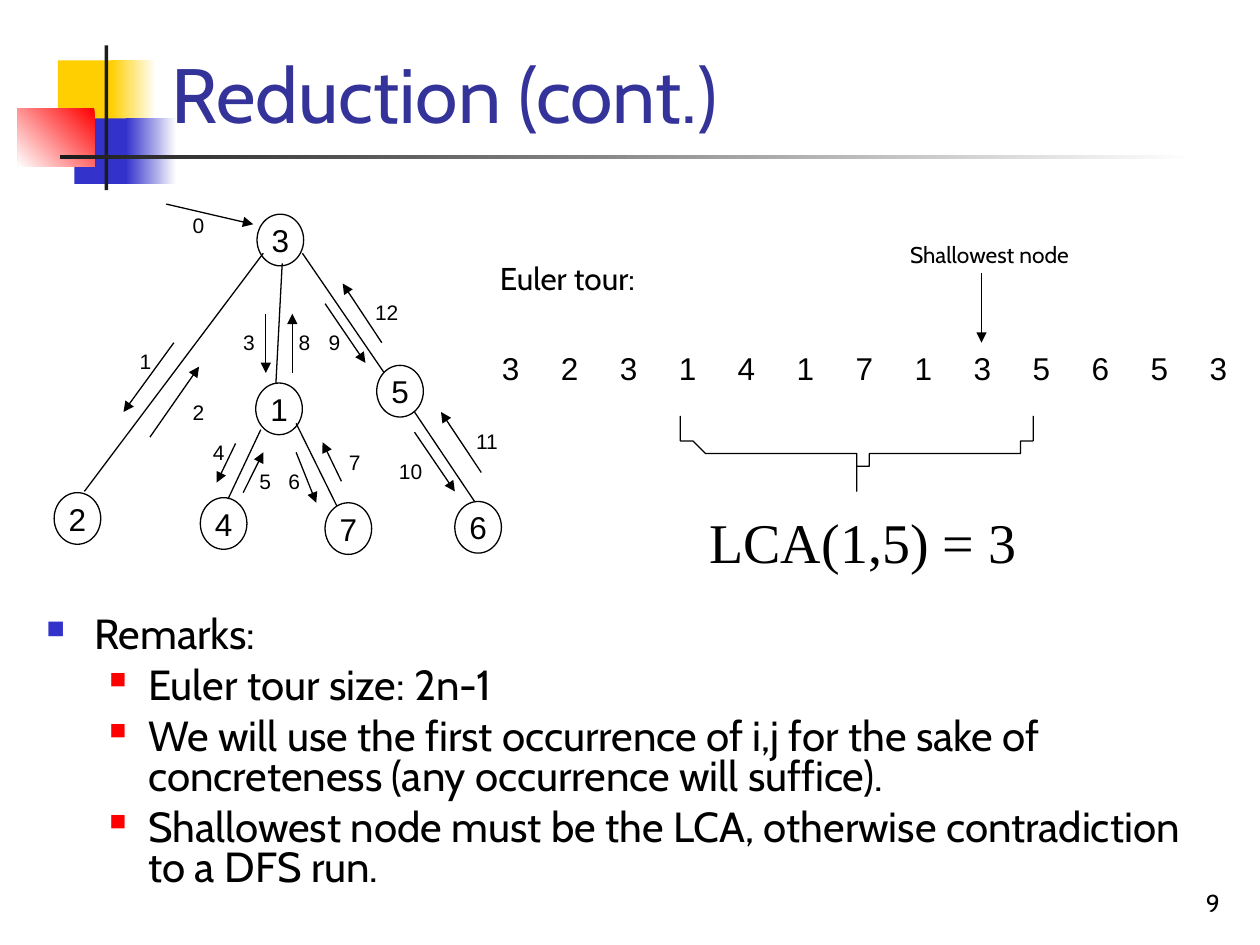
import dataclasses

import lxml.etree
import pptx
import pptx.dml.color
import pptx.enum.shapes
import pptx.enum.text
import pptx.oxml.ns
import pptx.util

BLACK = pptx.dml.color.RGBColor(0x00, 0x00, 0x00)
WHITE = pptx.dml.color.RGBColor(0xFF, 0xFF, 0xFF)
YELLOW = pptx.dml.color.RGBColor(0xFF, 0xCF, 0x01)
BLUE = pptx.dml.color.RGBColor(0x33, 0x33, 0xCC)
RED = pptx.dml.color.RGBColor(0xFF, 0x00, 0x00)
INK = pptx.dml.color.RGBColor(0x1C, 0x1C, 0x1C)
TITLE_BLUE = pptx.dml.color.RGBColor(0x33, 0x33, 0x99)
COLUMNS, ROWS = 100, 75
CELL = pptx.util.Inches(0.1)
SHAPES = pptx.enum.shapes.MSO_SHAPE
ALIGN = pptx.enum.text.PP_ALIGN
ANCHOR = pptx.enum.text.MSO_ANCHOR


@dataclasses.dataclass
class Box:
    """A region of the slide, in grid columns and rows."""
    left: float
    top: float
    width: float
    height: float

    def inner(self, left, top, width, height):
        """Return a box placed relative to this one."""
        return Box(self.left + left, self.top + top, width, height)

    def lengths(self):
        """Return the four lengths for python-pptx."""
        return [round(value * CELL) for value in dataclasses.astuple(self)]


def add_node(parent, tag, **values):
    """Append a DrawingML element with the given attributes."""
    node = lxml.etree.SubElement(parent, pptx.oxml.ns.qn(tag))
    for name, value in values.items():
        node.set(name, str(value))
    return node


def write(para, text, size=18, font="Cabin", color=BLACK, align=ALIGN.LEFT, rtl=False):
    """Write one formatted span into a paragraph."""
    para.alignment = align
    span = para.add_run()
    span.text = text
    for name, value in {"name": font, "size": pptx.util.Pt(size)}.items():
        setattr(span.font, name, value)
    span.font.color.rgb = color
    if rtl:
        para._p.get_or_add_pPr().set("rtl", "1")
        add_node(span._r.get_or_add_rPr(), "a:cs", typeface="Arial")


def add_text(page, box, text, anchor=ANCHOR.TOP, **style):
    """Place a text box holding one paragraph."""
    frame = page.shapes.add_textbox(*box.lengths()).text_frame
    for name, value in {"word_wrap": True, "vertical_anchor": anchor}.items():
        setattr(frame, name, value)
    write(frame.paragraphs[0], text, **style)


def add_line(page, box, start_x, start_y, end_x, end_y, arrow=False):
    """Draw a line or arrow between two points of a box."""
    start = box.inner(start_x, start_y, 0, 0).lengths()[:2]
    end = box.inner(end_x, end_y, 0, 0).lengths()[:2]
    line = page.shapes.add_connector(pptx.enum.shapes.MSO_CONNECTOR.STRAIGHT, *start, *end)
    line.line.color.rgb = BLACK
    line.line.width = pptx.util.Pt(0.75)
    if arrow:
        add_node(line.line._get_or_add_ln(), "a:tailEnd", type="triangle")
    add_node(line._element.spPr, "a:effectLst")


def add_ornament(page, box):
    """Draw the coloured blocks and rules beside the title."""
    blocks = [
        ((3.2, 1.2, 4.8, 5.2), (YELLOW,), 0),
        ((7.4, 1.2, 3.6, 5.2), (WHITE, YELLOW), 180),
        ((4.5, 5.8, 4.6, 5.2), (BLUE,), 0),
        ((8.6, 5.8, 4, 5.2), (WHITE, BLUE), 180),
        ((0, 5, 6.1, 4.6), (RED, WHITE), 225),
        ((6.9, 0, 0.3, 11.5), (INK,), 0),
        ((3.4, 8.7, 90, 0.3), (WHITE, INK), 180),
    ]
    for place, colors, angle in blocks:
        block = page.shapes.add_shape(SHAPES.RECTANGLE, *box.inner(*place).lengths())
        block.shadow.inherit = False
        block.line.fill.background()
        if len(colors) == 1:
            block.fill.solid()
            block.fill.fore_color.rgb = colors[0]
            continue
        block.fill.gradient()
        block.fill.gradient_angle = angle
        for stop, color, position in zip(block.fill.gradient_stops, colors, (0, 1)):
            stop.color.rgb = color
            stop.position = position


def add_tree(page, box):
    """Draw the tree with the numbered steps of its tour."""
    edges = [
        (18.4, 4.9, 17.9, 14.4), (16.9, 4.1, 2.7, 23), (20, 4.1, 26.5, 13.6),
        (28.9, 16.7, 33.8, 24), (16.7, 18.1, 14.1, 23.6), (19.5, 17.6, 23.1, 24.9),
    ]
    nodes = {"3": (16.4, 1), "4": (11.9, 23.5), "5": (25.9, 13), "1": (16.3, 14.4),
             "6": (32.1, 23.8), "7": (21.8, 23.9), "2": (0.3, 23.1)}
    steps = [
        ((9.2, 0.2, 16.1, 1.8), 13.2, 0.4),
        ((9.8, 11.2, 5.8, 16.7), 9, 11.2),
        ((7.9, 18.7, 11.8, 13.1), 13.2, 15.2),
        ((17.1, 8.9, 17.1, 13.6), 17.2, 9.7),
        ((14.7, 19.2, 13.2, 22.3), 14.8, 18.4),
        ((15.3, 23.1, 16.9, 19.9), 18.5, 20.7),
        ((19.5, 19.9, 21.1, 23.9), 20.8, 20.7),
        ((23.1, 22.2, 21.6, 19.1), 25.6, 19.2),
        ((19.2, 13.6, 19.2, 8.9), 21.6, 9.7),
        ((21.8, 8.1, 25, 12.8), 24, 9.7),
        ((28.9, 18.3, 32.1, 23), 30.5, 19.9),
        ((34.2, 21.5, 31, 16.7), 36.5, 17.5),
        ((26.3, 11.2, 23.2, 6.5), 28.6, 7.3),
    ]
    for edge in edges:
        add_line(page, box, *edge)
    for label, (left, top) in nodes.items():
        node = page.shapes.add_shape(SHAPES.OVAL, *box.inner(left, top, 3.7, 4.1).lengths())
        node.shadow.inherit = False
        if label in "5672":
            node.fill.solid()
            node.fill.fore_color.rgb = WHITE
        else:
            node.fill.background()
        node.line.color.rgb = BLACK
        node.line.width = pptx.util.Pt(0.75)
        margins = dict.fromkeys(("margin_left", "margin_right", "margin_top", "margin_bottom"), 0)
        for name, value in {**margins, "vertical_anchor": ANCHOR.MIDDLE}.items():
            setattr(node.text_frame, name, value)
        write(node.text_frame.paragraphs[0], label, align=ALIGN.CENTER, rtl=True)
    for number, (arrow, right, top) in enumerate(steps):
        label = str(number)
        width = 0.9 + 1.5 * len(label)
        add_line(page, box, *arrow, arrow=True)
        add_text(page, box.inner(right - width, top, width, 3), label,
                 size=12, align=ALIGN.RIGHT, rtl=True)


def add_brace(page, box):
    """Draw a brace that opens upward and points down at its middle."""
    middle, bend = box.width / 2, box.height / 2
    shares = [step / 12 for step in range(13)]
    outer = [(0.16 * middle * t ** 2, bend * (1 - (1 - t) ** 2)) for t in shares]
    tip = [(middle * (1 - 0.16 * (1 - t) ** 2), bend * (1 + t ** 2)) for t in shares]
    half = outer + tip
    points = half + [(box.width - x, y) for x, y in reversed(half)]
    (start_x, start_y), *rest = [(box.left + x, box.top + y) for x, y in points]
    builder = page.shapes.build_freeform(start_x, start_y, scale=CELL)
    builder.add_line_segments(rest, close=False)
    brace = builder.convert_to_shape()
    brace.shadow.inherit = False
    brace.fill.background()
    brace.line.color.rgb = BLACK
    brace.line.width = pptx.util.Pt(0.75)


def add_tour(page, box):
    """Write the Euler tour and mark the shallowest node in a range."""
    add_text(page, box.inner(-0.3, 1.5, 14.3, 4), "Euler tour:")
    for index, label in enumerate("3231417135653"):
        add_text(page, box.inner(4.68 * index, 8.6, 3.2, 4), label,
                 align=ALIGN.JUSTIFY, rtl=True)
    add_brace(page, box.inner(15, 14.1, 28.3, 5.9))
    add_text(page, box.inner(14.5, 21.2, 30, 6.4), "LCA(1,5) = 3",
             size=32, font="Times New Roman", align=ALIGN.CENTER)
    add_line(page, box, 38.9, 3.1, 38.9, 8.6, arrow=True)
    add_text(page, box.inner(31, 0, 15.8, 3.2), "Shallowest node",
             size=13, align=ALIGN.RIGHT, rtl=True)


def add_remarks(page, box):
    """Write the bulleted remarks."""
    remarks = [
        (0, "Remarks:"),
        (1, "Euler tour size: 2n-1"),
        (1, "We will use the first occurrence of i,j for the sake of concreteness "
            "(any occurrence will suffice)."),
        (1, "Shallowest node must be the LCA, otherwise contradiction to a DFS run."),
    ]
    levels = [(0.38, -0.38, BLUE, 60), (0.81, -0.31, RED, 55)]
    frame = page.shapes.add_textbox(*box.lengths()).text_frame
    frame.word_wrap = True
    for index, (level, text) in enumerate(remarks):
        para = frame.add_paragraph() if index else frame.paragraphs[0]
        margin, indent, color, share = levels[level]
        values = {"level": level, "line_spacing": 0.8, "space_before": pptx.util.Pt(6 if index else 0)}
        for name, value in values.items():
            setattr(para, name, value)
        properties = para._p.get_or_add_pPr()
        for name, value in {"marL": margin, "indent": indent}.items():
            properties.set(name, str(pptx.util.Inches(value)))
        add_node(add_node(properties, "a:buClr"), "a:srgbClr", val=color)
        add_node(properties, "a:buSzPct", val=share * 1000)
        add_node(properties, "a:buChar", char="■")
        write(para, text, size=24)


def main():
    """Build and save the slide."""
    deck = pptx.Presentation()
    deck.slide_width, deck.slide_height = COLUMNS * CELL, ROWS * CELL
    page = deck.slides.add_slide(deck.slide_layouts[6])
    add_ornament(page, Box(1.4, 3.6, 93.4, 11.5))
    add_text(page, Box(12.6, 2.3, 85.2, 9.2), "Reduction (cont.)",
             anchor=ANCHOR.BOTTOM, size=44, color=TITLE_BLUE)
    add_remarks(page, Box(2.7, 48.5, 92.8, 22.8))
    add_tree(page, Box(4, 16, 37, 28))
    add_tour(page, Box(39, 18.6, 60, 28))
    add_text(page, Box(77, 68.3, 20.8, 5), "9", anchor=ANCHOR.BOTTOM,
             size=14, align=ALIGN.RIGHT)
    deck.save("out.pptx")


if __name__ == "__main__":
    main()
